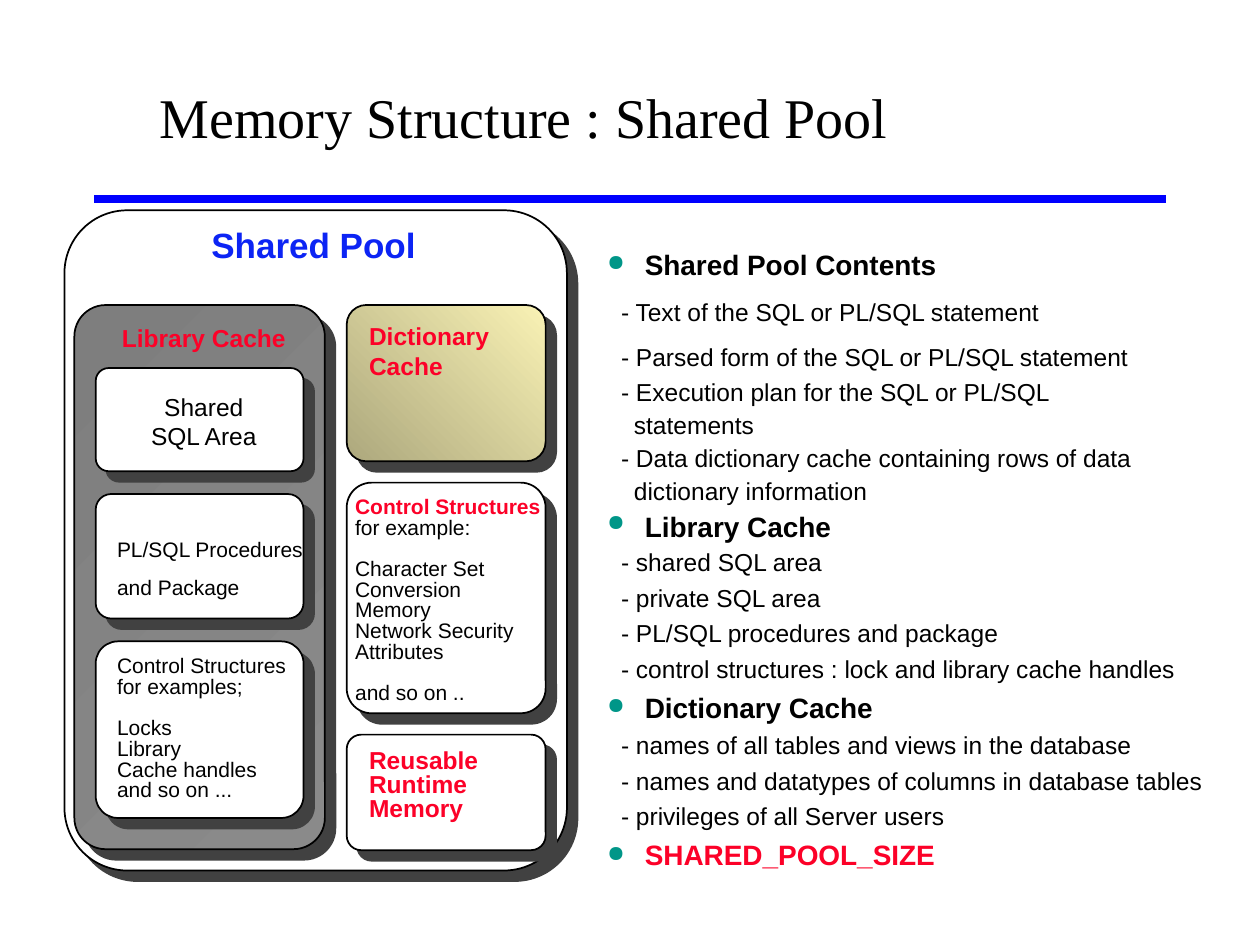
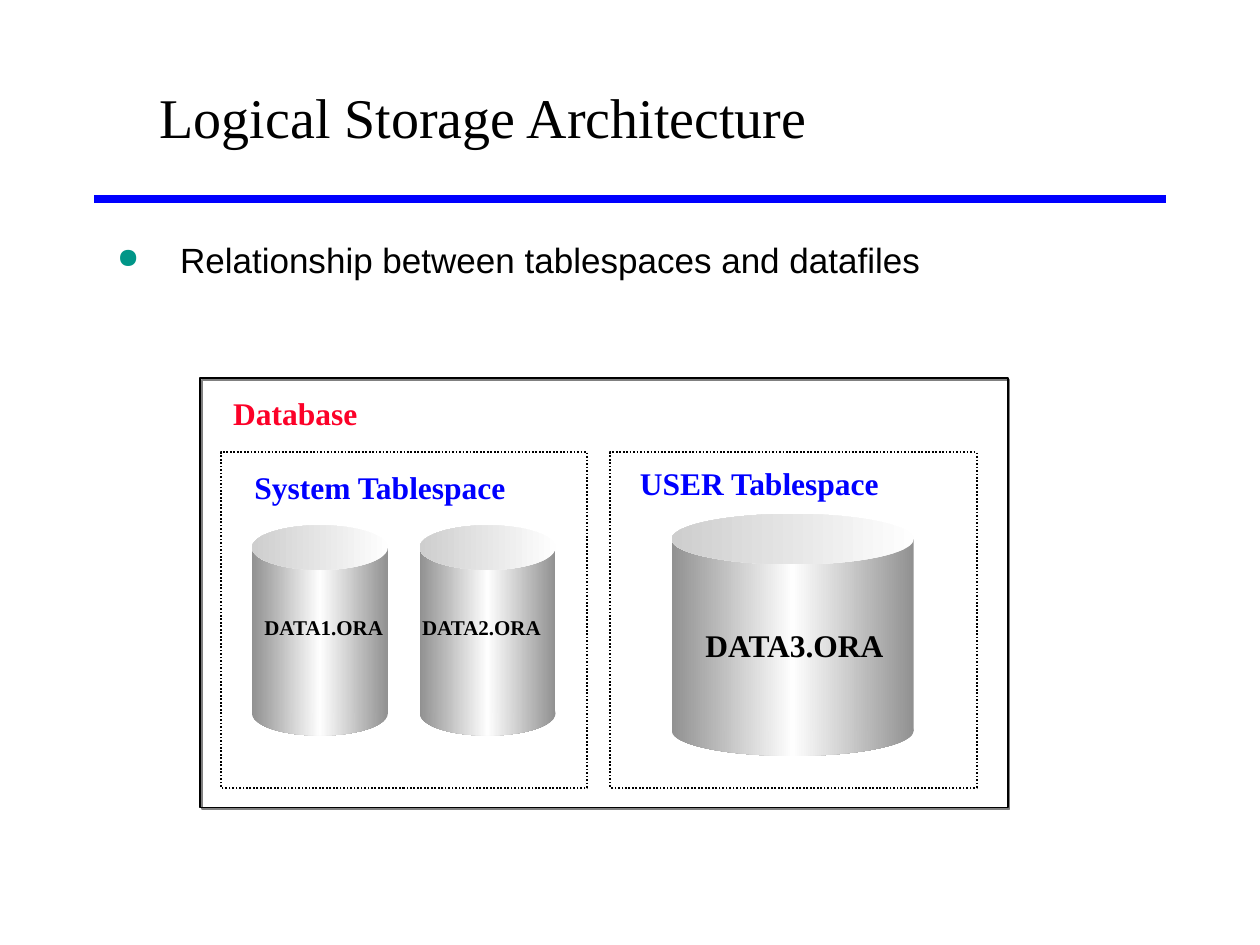
from pptx import Presentation
from pptx.dml.color import RGBColor
from pptx.enum.dml import MSO_LINE
from pptx.enum.shapes import MSO_CONNECTOR, MSO_SHAPE
from pptx.enum.text import MSO_ANCHOR, PP_ALIGN
from pptx.oxml import parse_xml
from pptx.oxml.ns import nsdecls, qn
from pptx.util import Cm, Pt

COLORS = {
    "black": "000000", "white": "FFFFFF", "rule": "0000FF", "pool": "0C24F4",
    "red": "FC0128", "bullet": "009688", "shadow": "414141", "frame shadow": "808080",
}
# Gradients: angle, then (position in percent, colour)
GRADIENTS = {
    "library": (225, [(0, "8A8A8A"), (100, "7E7E7E")]),
    "dictionary": (135, [(0, "F9F2B5"), (100, "ADA87D")]),
    "drum": (180, [(0, "919191"), (50, "FEFEFE"), (100, "919191")]),
    "lid": (180, [(0, "FEFEFE"), (100, "CECECE")]),
}
SANS, SERIF = "Arial", "Times New Roman"


def style(name, size, color="black", bold=False, bullet=False, hang=(0, 0), **paragraph):
    return {"font": {"name": name, "size": Pt(size), "bold": bold}, "color": color,
            "bullet": bullet, "hang": hang, "paragraph": paragraph}


# Text styles; hang is left margin and first-line indent in cm
STYLES = {
    "title": style(SERIF, 32, line_spacing=0.9),
    "pool": style(SANS, 20, "pool", True),
    "cache": style(SANS, 14, "red", True),
    "area": style(SANS, 14, alignment=PP_ALIGN.CENTER),
    "procedure": style(SANS, 12, space_before=Pt(7.5)),
    "note": style(SANS, 12, line_spacing=0.3, space_before=Pt(7.5)),
    "note after gap": style(SANS, 12, line_spacing=0.3, space_before=Pt(19.2)),
    "note head": style(SANS, 12, "red", True, line_spacing=0.3),
    "runtime": style(SANS, 14, "red", True, line_spacing=0.3, space_before=Pt(8.8)),
    "heading": style(SANS, 16, bold=True, bullet=True, hang=(0.76, -0.76)),
    "key heading": style(SANS, 16, "red", True, bullet=True, hang=(0.76, -0.76)),
    "item": style(SANS, 14, hang=(0.28, 0)),
    "item rest": style(SANS, 14, hang=(0.54, 0)),
    "point": style(SANS, 20, bullet=True, hang=(1.27, -1.27), line_spacing=1.05),
    "database": style(SERIF, 18, "red", True),
    "tablespace": style(SERIF, 18, "rule", True),
    "large file": style(SERIF, 18, bold=True),
    "small file": style(SERIF, 12, bold=True),
}

# Slide 1 content. Panel: fill, height, label place (dx, dy, width, height), label
POOL = ("white", 13.31, (2.71, 0.15, 5.08, 1.09), [("pool", "Shared Pool")])
LIBRARY = ("library", 10.97, (0.71, 0.23, 4.34, 0.84), [("cache", "Library Cache")])
LIBRARY_PARTS = [
    ("white", 2.08, (0.81, 0.35, 2.74, 1.45), [("area", "Shared SQL Area")]),
    ("white", 2.51, (0.18, 0.73, 4.65, 1.55), [
        ("procedure", "PL/SQL Procedures"), ("procedure", "and Package")]),
    ("white", 3.56, (0.18, 0.41, 4.01, 2.92), [
        ("note", "Control Structures"), ("note", "for examples;"),
        ("note after gap", "Locks"), ("note", "Library"),
        ("note", "Cache handles"), ("note", "and so on ...")]),
]
OTHER_PARTS = [
    ("dictionary", 3.15, (0.2, 0.2, 3.18, 1.45), [("cache", "Dictionary Cache")]),
    ("white", 4.65, (-0.08, 0.4, 4.6, 4.17), [
        ("note head", "Control Structures"), ("note", "for example:"),
        ("note after gap", "Character Set"), ("note", "Conversion"), ("note", "Memory"),
        ("note", "Network Security"), ("note", "Attributes"),
        ("note after gap", "and so on ..")]),
    ("white", 2.33, (0.2, 0.43, 3.18, 1.4), [
        ("runtime", "Reusable"), ("runtime", "Runtime"), ("runtime", "Memory")]),
]
# Contents list: style, text, line spacing, points before
POOL_CONTENTS = [
    ("heading", "Shared Pool Contents", 1.0, 0),
    ("item", "- Text of the SQL or PL/SQL statement", 1.0, 9.2),
    ("item", "- Parsed form of the SQL or PL/SQL statement", 1.0, 8.8),
    ("item", "- Execution plan for the SQL or PL/SQL", 0.6, 8.8),
    ("item rest", "statements", 0.6, 8.8),
    ("item", "- Data dictionary cache containing rows of data", 0.6, 8.8),
    ("item rest", "dictionary information", 0.6, 8.8),
    ("heading", "Library Cache", 0.6, 10),
    ("item", "- shared SQL area", 0.9, 5.2),
    ("item", "- private SQL area", 0.9, 5.2),
    ("item", "- PL/SQL procedures and package", 0.9, 5.2),
    ("item", "- control structures : lock and library cache handles", 0.9, 5.2),
    ("heading", "Dictionary Cache", 0.9, 6),
    ("item", "- names of all tables and views in the database", 0.9, 5.2),
    ("item", "- names and datatypes of columns in database tables", 0.9, 5.2),
    ("item", "- privileges of all Server users", 0.9, 5.2),
    ("key heading", "SHARED_POOL_SIZE", 0.9, 6),
]

# Slide 2 content
STORAGE_LABELS = [
    ("database", "Database", (4.45, 7.82, 3.1, 1.02)),
    ("tablespace", "System Tablespace", (4.88, 9.32, 5.7, 1.02)),
    ("tablespace", "USER Tablespace", (12.65, 9.22, 5.5, 1.02)),
    ("large file", "DATA3.ORA", (13.97, 12.5, 4.3, 1.02)),
    ("small file", "DATA1.ORA", (5.08, 12.27, 3.1, 0.76)),
    ("small file", "DATA2.ORA", (8.26, 12.27, 3.1, 0.76)),
]
# Drum: place and lid height
DATAFILES = [
    ((13.54, 10.36, 4.88, 4.88), 1.02),
    ((5.08, 10.59, 2.74, 4.24), 0.9),
    ((8.46, 10.59, 2.74, 4.24), 0.9),
]


def rgb(color):
    return RGBColor.from_string(COLORS[color])


def cms(place):
    return [Cm(length) for length in place]


# Text
def add_bullet(properties):
    for xml in (f'<a:buClr {nsdecls("a")}><a:srgbClr val="{COLORS["bullet"]}"/></a:buClr>',
                f'<a:buSzPct {nsdecls("a")} val="80000"/>',
                f'<a:buChar {nsdecls("a")} char="●"/>'):
        properties.append(parse_xml(xml))


def add_text(slide, place, lines, anchor=MSO_ANCHOR.TOP):
    """Each line is (style, text) or (style, text, line spacing, points before)."""
    frame = slide.shapes.add_textbox(*cms(place)).text_frame
    frame.word_wrap = True
    frame.vertical_anchor = anchor
    for index, (style_name, text, *spacing) in enumerate(lines):
        look = STYLES[style_name]
        paragraph = frame.add_paragraph() if index else frame.paragraphs[0]
        properties = paragraph._p.get_or_add_pPr()
        margin, indent = look["hang"]
        properties.set("marL", str(Cm(margin)))
        properties.set("indent", str(Cm(indent)))
        if look["bullet"]:
            add_bullet(properties)
        settings = dict(look["paragraph"])
        if spacing:
            settings.update(line_spacing=spacing[0], space_before=Pt(spacing[1]))
        if index == 0:
            settings["space_before"] = Pt(0)
        for name, value in settings.items():
            setattr(paragraph, name, value)
        run = paragraph.add_run()
        run.text = text
        for name, value in look["font"].items():
            setattr(run.font, name, value)
        run.font.color.rgb = rgb(look["color"])


# Shapes
def fill_shape(shape, fill):
    if fill in GRADIENTS:
        angle, colors = GRADIENTS[fill]
        stops = "".join(f'<a:gs pos="{position * 1000}"><a:srgbClr val="{color}"/></a:gs>'
                        for position, color in colors)
        shape._element.spPr.find(qn("a:prstGeom")).addnext(parse_xml(
            f'<a:gradFill {nsdecls("a")} rotWithShape="1"><a:gsLst>{stops}</a:gsLst>'
            f'<a:lin ang="{angle * 60000}" scaled="0"/></a:gradFill>'))
    elif fill:
        shape.fill.solid()
        shape.fill.fore_color.rgb = rgb(fill)
    else:
        shape.fill.background()


def add_shape(slide, preset, place, fill=None, outlined=False, shadow=None):
    shape = slide.shapes.add_shape(preset, *cms(place))
    fill_shape(shape, fill)
    if outlined:
        shape.line.color.rgb = rgb("black")
        shape.line.width = Pt(1)
    else:
        shape.line.fill.background()
    shape.shadow.inherit = False
    if shadow:
        color, distance = shadow
        shape._element.spPr.find(qn("a:effectLst")).append(parse_xml(
            f'<a:outerShdw {nsdecls("a")} blurRad="0" dist="{Pt(distance)}" dir="2700000" '
            f'algn="ctr" rotWithShape="0"><a:srgbClr val="{COLORS[color]}"/></a:outerShdw>'))
    return shape


def add_panel(slide, left, top, width, panel):
    fill, height, (dx, dy, label_width, label_height), label = panel
    shape = add_shape(slide, MSO_SHAPE.ROUNDED_RECTANGLE, (left, top, width, height),
                      fill, True, ("shadow", 8.5))
    shape.adjustments[0] = 0.125
    add_text(slide, (left + dx, top + dy, label_width, label_height), label)


def add_panel_column(slide, left, top, width, gap, panels):
    for panel in panels:
        add_panel(slide, left, top, width, panel)
        top += panel[1] + gap


def add_drum(slide, place, lid):
    left, top, width, height = place
    add_shape(slide, MSO_SHAPE.OVAL, (left, top + height - lid, width, lid), "drum")
    add_shape(slide, MSO_SHAPE.RECTANGLE, (left, top + lid / 2, width, height - lid), "drum")
    add_shape(slide, MSO_SHAPE.OVAL, (left, top, width, lid), "lid")


# Shared frame of the slides
def add_titled_slide(deck, title):
    slide = deck.slides.add_slide(deck.slide_layouts[6])
    rule = slide.shapes.add_connector(MSO_CONNECTOR.STRAIGHT, *cms((1.9, 4.02, 23.5, 4.02)))
    rule.line.color.rgb = rgb("rule")
    rule.line.width = Pt(4.5)
    rule._element.spPr.append(parse_xml(f'<a:effectLst {nsdecls("a")}/>'))
    add_text(slide, (2.97, 0.84, 19.89, 3.18), [("title", title)], MSO_ANCHOR.MIDDLE)
    return slide


def build_shared_pool(deck):
    slide = add_titled_slide(deck, "Memory Structure : Shared Pool")
    add_panel(slide, 1.3, 4.24, 10.13, POOL)
    add_panel(slide, 1.5, 6.15, 5.05, LIBRARY)
    add_panel_column(slide, 1.93, 7.42, 4.19, 0.46, LIBRARY_PARTS)
    add_panel_column(slide, 6.99, 6.15, 4.01, 0.43, OTHER_PARTS)
    add_text(slide, (11.99, 4.87, 12.95, 12.93), POOL_CONTENTS)


def build_storage(deck):
    slide = add_titled_slide(deck, "Logical Storage Architecture")
    add_text(slide, (2.11, 4.65, 22.02, 11),
             [("point", "Relationship between tablespaces and datafiles")])
    add_shape(slide, MSO_SHAPE.RECTANGLE, (4.04, 7.62, 16.28, 8.66),
              outlined=True, shadow=("frame shadow", 1.4))
    for column in range(2):
        tablespace = add_shape(slide, MSO_SHAPE.RECTANGLE,
                               (4.45 + column * 7.85, 9.12, 7.39, 6.76), outlined=True)
        tablespace.line.dash_style = MSO_LINE.ROUND_DOT
    for place, lid in DATAFILES:
        add_drum(slide, place, lid)
    for style_name, text, place in STORAGE_LABELS:
        add_text(slide, place, [(style_name, text)])


def main():
    deck = Presentation()
    deck.slide_width, deck.slide_height = Cm(25.4), Cm(19.05)
    build_shared_pool(deck)
    build_storage(deck)
    deck.save("out.pptx")


if __name__ == "__main__":
    main()
